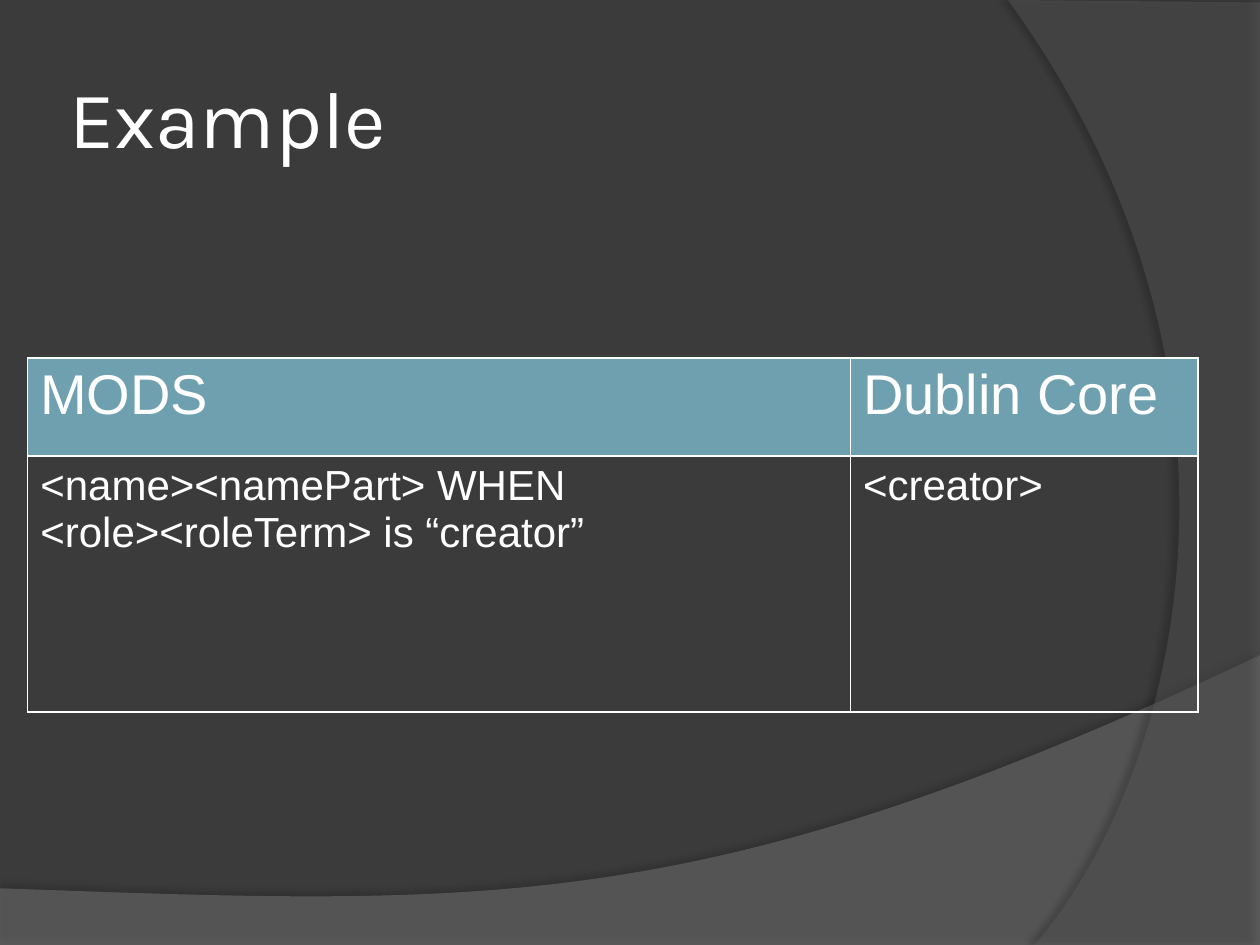
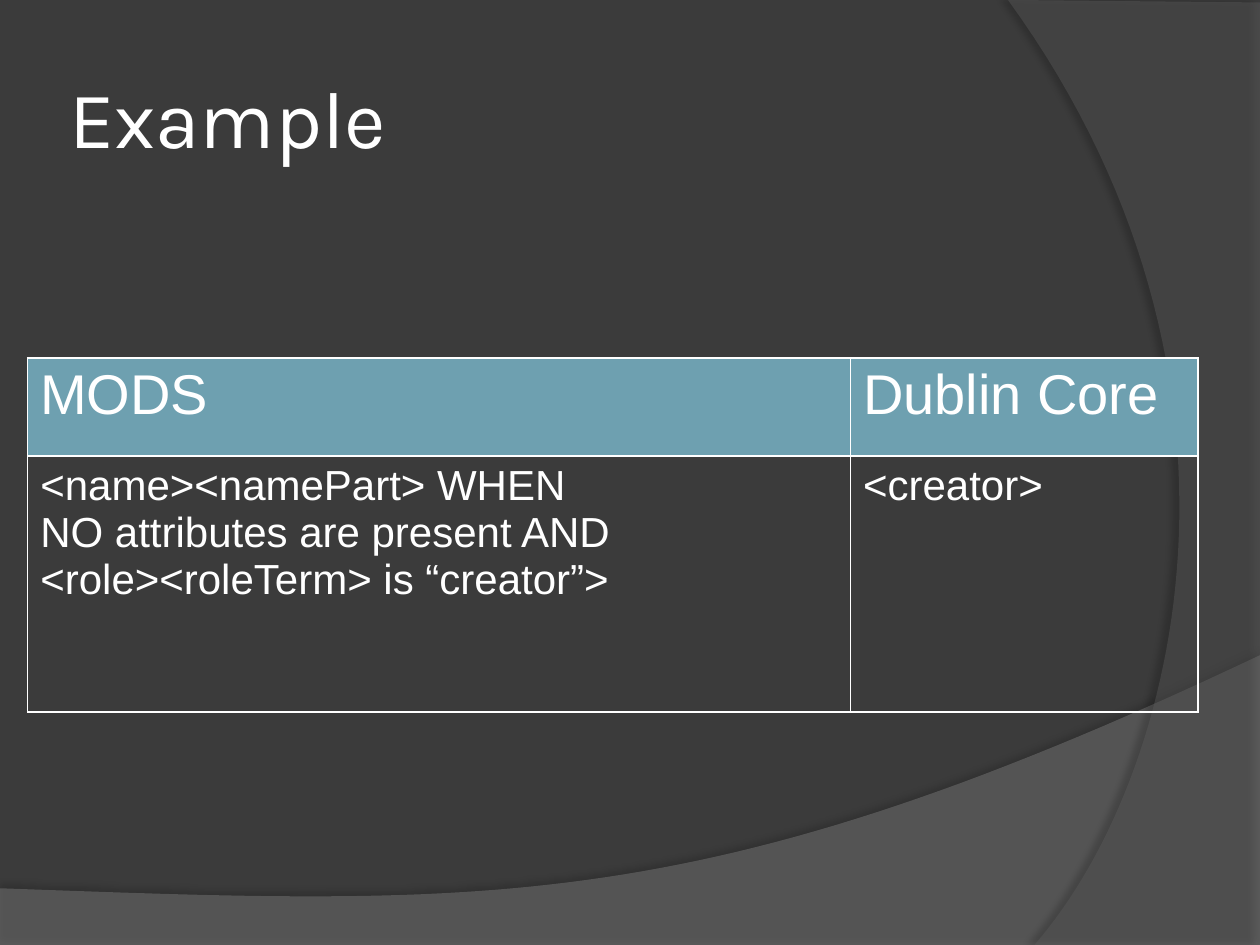
import dataclasses
import typing

import pptx
import pptx.dml.color
import pptx.enum.text
import pptx.oxml
import pptx.oxml.ns
import pptx.oxml.xmlchemy
import pptx.slide
import pptx.table
import pptx.text.text
import pptx.util
from pptx.dml.color import RGBColor
from pptx.util import Inches

BACKGROUND = RGBColor(0x3B, 0x3B, 0x3B)
WAVE_GRAY = RGBColor(0x7F, 0x7F, 0x7F)
ARC_GRAY = RGBColor(0x5E, 0x5E, 0x5E)
HEADER_BLUE = RGBColor(0x6E, 0xA0, 0xB0)
WHITE = RGBColor(0xFF, 0xFF, 0xFF)
BLACK = RGBColor(0x00, 0x00, 0x00)
TITLE_FONT = "Karla"
TABLE_FONT = "Arial"
CURVE_STEPS = 60
COLUMN_WIDTHS = (6.53, 2.76)
ROW_HEIGHTS = (0.78, 2.03)
HEADINGS = ("MODS", "Dublin Core")

Point = tuple[float, float]


@dataclasses.dataclass(frozen=True)
class Band:
    corners: tuple[Point, ...]
    curve: tuple[Point, Point, Point, Point]
    color: RGBColor
    opacity: int
    shadow_opacity: int
    shadow_distance: float
    shadow_angle: int


@dataclasses.dataclass(frozen=True)
class ExampleSlide:
    title: str
    mods: str
    dublin_core: str


BANDS = (
    Band(((0, 7.05), (0, 7.51), (10, 7.51)),
         ((10, 5.2), (5.59, 7.29), (3.91, 7.19), (0, 7.05)),
         WAVE_GRAY, 45, 35, 3.5, 270),
    Band(((10, 0.02), (10, 7.5)),
         ((8.21, 7.5), (9.35, 6.19), (10.18, 3), (8, 0)),
         ARC_GRAY, 40, 45, 4, 180),
)

EXAMPLES = (
    ExampleSlide("Example",
                 "<name><namePart> WHEN\v<role><roleTerm> is “creator”",
                 "<creator>"),
    ExampleSlide("Example",
                 "<name><namePart> WHEN\vNO attributes are present AND\n"
                 "<role><roleTerm> is “creator”>",
                 "<creator>"),
)


def add_element(parent: typing.Any, tag: str, **attributes: object) -> typing.Any:
    element = pptx.oxml.xmlchemy.OxmlElement(tag)
    for name, value in attributes.items():
        element.set(name, str(value))
    parent.append(element)
    return element


def add_color(parent: typing.Any, color: RGBColor) -> typing.Any:
    return add_element(parent, "a:srgbClr", val=color)


def bezier_points(curve: tuple[Point, Point, Point, Point]) -> list[Point]:
    points = []
    for step in range(CURVE_STEPS + 1):
        t = step / CURVE_STEPS
        weights = ((1 - t) ** 3, 3 * t * (1 - t) ** 2, 3 * t * t * (1 - t), t ** 3)
        points.append((sum(w * x for w, (x, _) in zip(weights, curve)),
                       sum(w * y for w, (_, y) in zip(weights, curve))))
    return points


def add_band(slide: pptx.slide.Slide, band: Band) -> None:
    outline = [(Inches(x), Inches(y))
               for x, y in (*band.corners, *bezier_points(band.curve))]
    builder = slide.shapes.build_freeform(*outline[0])
    builder.add_line_segments(outline[1:], close=True)
    shape = builder.convert_to_shape()
    shape.fill.solid()
    shape.fill.fore_color.rgb = band.color
    shape.line.fill.background()
    shape.shadow.inherit = False
    properties = shape._element.spPr
    fill_color = properties.find(pptx.oxml.ns.qn("a:solidFill"))[0]
    add_element(fill_color, "a:alpha", val=band.opacity * 1000)
    effects = properties.find(pptx.oxml.ns.qn("a:effectLst"))
    shadow = add_element(effects, "a:outerShdw", blurRad=pptx.util.Pt(4),
                         dist=pptx.util.Pt(band.shadow_distance),
                         dir=band.shadow_angle * 60000, algn="ctr", rotWithShape=0)
    add_element(add_color(shadow, BLACK), "a:alpha", val=band.shadow_opacity * 1000)


def format_text(text_frame: pptx.text.text.TextFrame, font: str, size: float) -> None:
    for paragraph in text_frame.paragraphs:
        for run in paragraph.runs:
            run.font.name = font
            run.font.size = pptx.util.Pt(size)
            run.font.color.rgb = WHITE


def add_title(slide: pptx.slide.Slide, title: str) -> None:
    shape = slide.shapes.add_textbox(Inches(0.5), Inches(0.3), Inches(8.17), Inches(1.25))
    text_frame = shape.text_frame
    text_frame.word_wrap = True
    text_frame.vertical_anchor = pptx.enum.text.MSO_ANCHOR.MIDDLE
    text_frame.margin_left = text_frame.margin_right = Inches(0.05)
    text_frame.text = title
    format_text(text_frame, TITLE_FONT, 46)


def add_borders(cell: pptx.table._Cell) -> None:
    properties = cell._tc.get_or_add_tcPr()
    for position, side in enumerate(("L", "R", "T", "B")):
        line = add_element(properties, f"a:ln{side}", w=pptx.util.Pt(1))
        add_color(add_element(line, "a:solidFill"), WHITE)
        properties.insert(position, line)


def add_mapping_table(slide: pptx.slide.Slide, example: ExampleSlide) -> None:
    rows = (HEADINGS, (example.mods, example.dublin_core))
    table = slide.shapes.add_table(
        len(ROW_HEIGHTS), len(COLUMN_WIDTHS), Inches(0.22), Inches(2.84),
        Inches(sum(COLUMN_WIDTHS)), Inches(sum(ROW_HEIGHTS))).table
    table.first_row = False
    table.horz_banding = False
    for column, width in zip(table.columns, COLUMN_WIDTHS):
        column.width = Inches(width)
    for row_index, (row, height, texts) in enumerate(zip(table.rows, ROW_HEIGHTS, rows)):
        row.height = Inches(height)
        is_header = row_index == 0
        for cell, text in zip(row.cells, texts):
            cell.text_frame.text = text
            format_text(cell.text_frame, TABLE_FONT, 32 if is_header else 24)
            if is_header:
                cell.fill.solid()
                cell.fill.fore_color.rgb = HEADER_BLUE
            else:
                cell.fill.background()
            add_borders(cell)


def add_example_slide(presentation: typing.Any, example: ExampleSlide) -> None:
    slide = presentation.slides.add_slide(presentation.slide_layouts[6])
    slide.background.fill.solid()
    slide.background.fill.fore_color.rgb = BACKGROUND
    for band in BANDS:
        add_band(slide, band)
    add_title(slide, example.title)
    add_mapping_table(slide, example)


def main() -> None:
    presentation = pptx.Presentation()
    presentation.slide_width = Inches(10)
    presentation.slide_height = Inches(7.5)
    for example in EXAMPLES:
        add_example_slide(presentation, example)
    presentation.save("out.pptx")


main()
